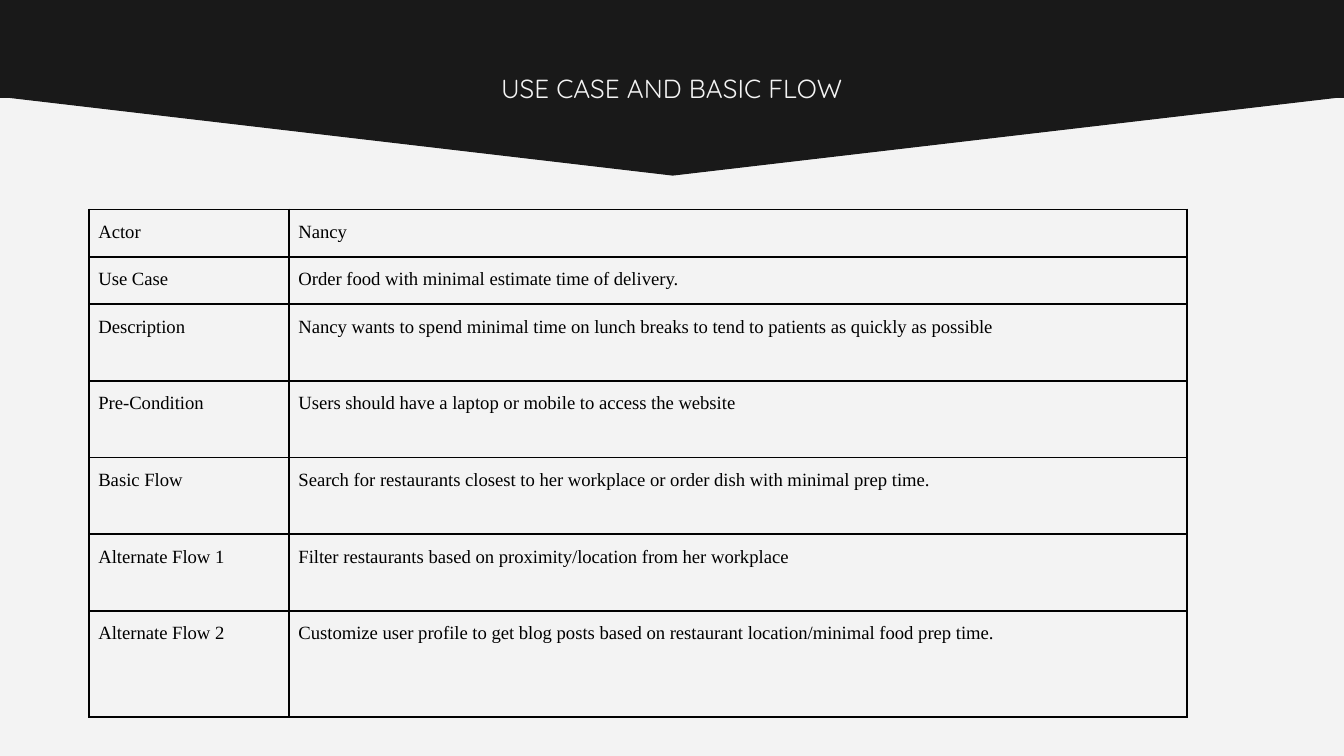
from typing import NamedTuple

from lxml.etree import SubElement
from pptx import Presentation
from pptx.dml.color import RGBColor
from pptx.enum.shapes import MSO_SHAPE
from pptx.enum.text import MSO_ANCHOR, PP_ALIGN
from pptx.oxml.ns import qn
from pptx.util import Pt

DARK = RGBColor(0x19, 0x19, 0x19)
PALE = RGBColor(0xF3, 0xF3, 0xF3)
BLACK = RGBColor(0, 0, 0)
COLS = (107.2, 481)
PAD = 5


class Box(NamedTuple):
    left: float
    top: float
    width: float
    height: float


class Row(NamedTuple):
    label: str
    text: str
    height: float


ROWS = [
    Row("Actor", "Nancy", 25.4),
    Row("Use Case", "Order food with minimal estimate time of delivery.", 25.4),
    Row("Description", "Nancy wants to spend minimal time on lunch breaks "
        "to tend to patients as quickly as possible", 41.1),
    Row("Pre-Condition", "Users should have a laptop or mobile to access the website", 41.1),
    Row("Basic Flow", "Search for restaurants closest to her workplace "
        "or order dish with minimal prep time.", 41.1),
    Row("Alternate Flow 1", "Filter restaurants based on proximity/location "
        "from her workplace", 41.1),
    Row("Alternate Flow 2", "Customize user profile to get blog posts based on "
        "restaurant location/minimal food prep time.", 56.8),
]


def write(frame, text: str, *, font: str, size: float, color: RGBColor,
          align=PP_ALIGN.LEFT, space: float = 1.0) -> None:
    para = frame.paragraphs[0]
    para.alignment = align
    para.line_spacing = space
    run = para.add_run()
    run.text = text
    run.font.name = font
    run.font.size = Pt(size)
    run.font.color.rgb = color


def add_block(slide, kind: MSO_SHAPE, box: Box, turn: float = 0) -> None:
    shape = slide.shapes.add_shape(kind, *map(Pt, box))
    shape.rotation = turn
    shape.shadow.inherit = False
    shape.fill.solid()
    shape.fill.fore_color.rgb = DARK
    shape.line.color.rgb = DARK
    shape.line.width = Pt(0.75)


def add_title(slide, text: str, box: Box) -> None:
    frame = slide.shapes.add_textbox(*map(Pt, box)).text_frame
    frame.word_wrap = True
    frame.vertical_anchor = MSO_ANCHOR.TOP
    frame.margin_left = frame.margin_right = Pt(7.2)
    frame.margin_top = frame.margin_bottom = Pt(7.2)
    write(frame, text, font="Quicksand", size=14, color=PALE, align=PP_ALIGN.CENTER)


def add_edges(cell) -> None:
    """Draw a black 1 pt border on all four sides of a cell."""
    props = cell._tc.get_or_add_tcPr()
    for spot, side in enumerate(("lnL", "lnR", "lnT", "lnB")):
        line = SubElement(props, qn(f"a:{side}"), w=str(Pt(1)))
        fill = SubElement(line, qn("a:solidFill"))
        SubElement(fill, qn("a:srgbClr"), val=str(BLACK))
        props.insert(spot, line)


def add_grid(slide, rows: list[Row], left: float, top: float) -> None:
    height = sum(row.height for row in rows)
    box = Box(left, top, sum(COLS), height)
    table = slide.shapes.add_table(len(rows), len(COLS), *map(Pt, box)).table
    table.first_row = table.horz_banding = False
    for col, width in zip(table.columns, COLS):
        col.width = Pt(width)
    for line, row in zip(table.rows, rows):
        line.height = Pt(row.height)
        for cell, text in zip(line.cells, (row.label, row.text)):
            cell.fill.background()
            cell.margin_left = cell.margin_right = Pt(PAD)
            cell.margin_top = cell.margin_bottom = Pt(PAD)
            add_edges(cell)
            write(cell.text_frame, text, font="Times New Roman", size=10,
                  color=BLACK, space=1.15)


def main() -> None:
    deck = Presentation()
    deck.slide_width, deck.slide_height = Pt(720), Pt(405)
    slide = deck.slides.add_slide(deck.slide_layouts[6])
    slide.background.fill.solid()
    slide.background.fill.fore_color.rgb = PALE
    add_block(slide, MSO_SHAPE.ISOSCELES_TRIANGLE, Box(-0.7, 51.4, 722.2, 42.3), turn=180)
    add_block(slide, MSO_SHAPE.RECTANGLE, Box(-0.7, -15.4, 722.2, 67.4))
    add_title(slide, "USE CASE AND BASIC FLOW", Box(242.6, 31.7, 234.7, 38.9))
    add_grid(slide, ROWS, 47.7, 112.2)
    deck.save("out.pptx")


if __name__ == "__main__":
    main()
